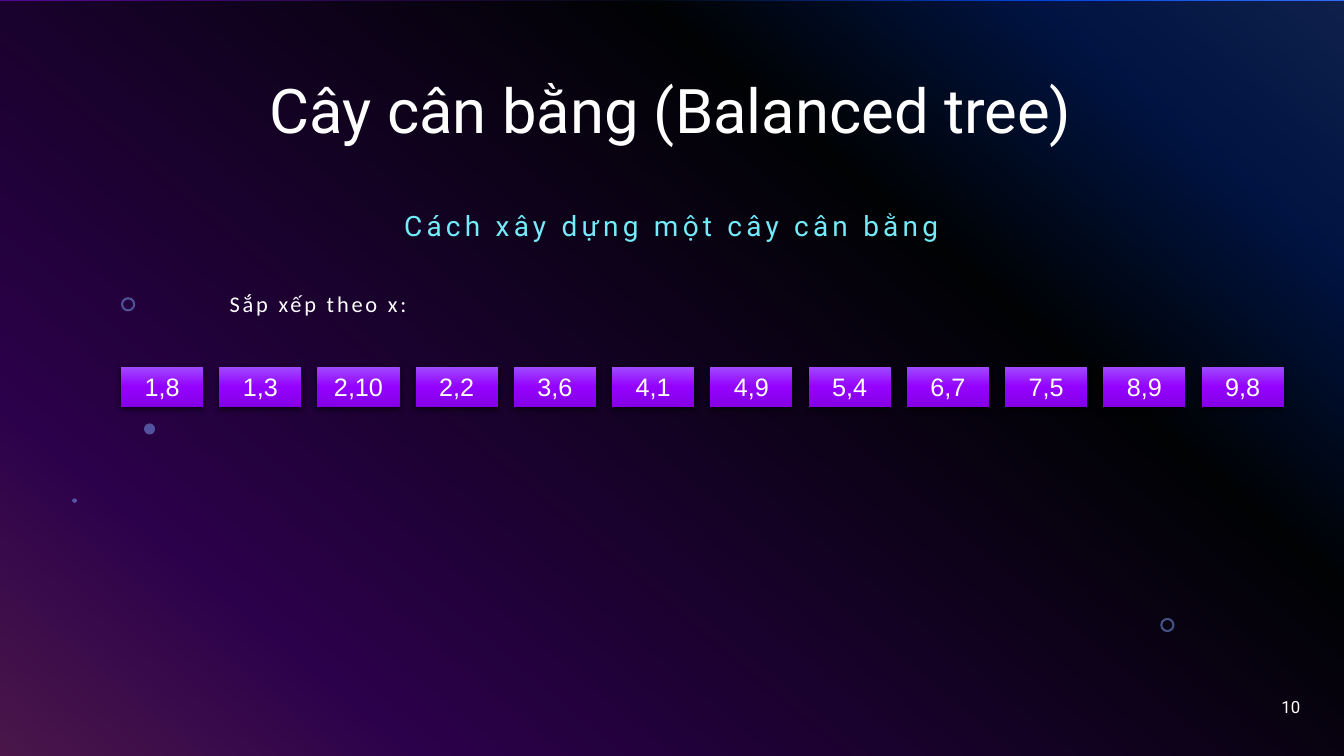
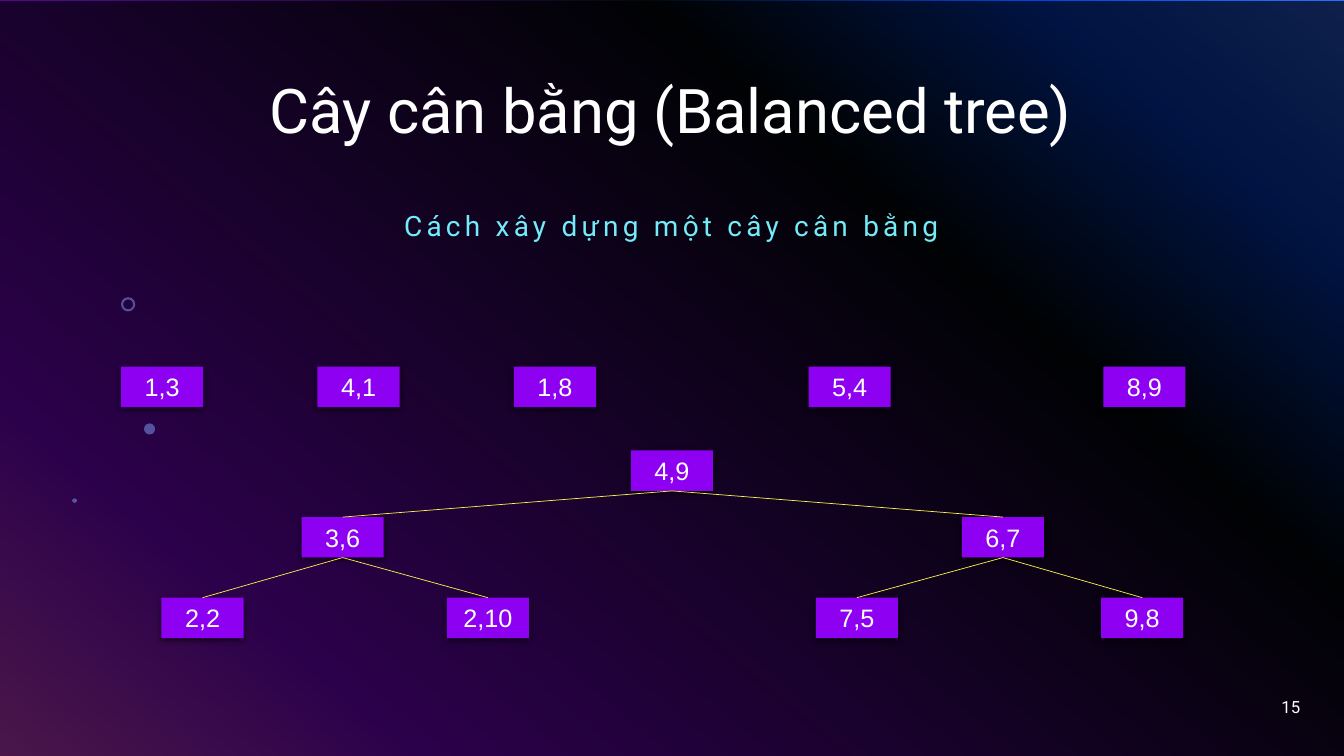
import lxml.etree
import pptx
import pptx.dml.color
import pptx.enum.shapes
import pptx.enum.text
import pptx.oxml.ns
import pptx.util

Cm = pptx.util.Cm
Pt = pptx.util.Pt
RGBColor = pptx.dml.color.RGBColor
Align = pptx.enum.text.PP_ALIGN
Shape = pptx.enum.shapes.MSO_SHAPE
qn = pptx.oxml.ns.qn

WHITE = RGBColor(0xFF, 0xFF, 0xFF)
BLACK = RGBColor(0x00, 0x00, 0x00)
CYAN = RGBColor(0x73, 0xEB, 0xF9)
YELLOW = RGBColor(0xFA, 0xF2, 0x4C)
PURPLE = RGBColor(0x8E, 0x00, 0xF2)
PALE_BLUE = RGBColor(0x83, 0xA7, 0xFD)

SKY = [
    (0, RGBColor(0x31, 0x6C, 0xFC)),
    (14, RGBColor(0x03, 0x43, 0xDF)),
    (31, RGBColor(0x02, 0x09, 0x0E)),
    (81, RGBColor(0x94, 0x05, 0xFC)),
    (100, RGBColor(0xFC, 0x4E, 0xFB)),
]
GLOSS = [
    (0, RGBColor(0xA0, 0x4B, 0xFF)),
    (50, RGBColor(0x94, 0x02, 0xFF)),
    (100, RGBColor(0x84, 0x00, 0xE4)),
]

TITLE = "Cây cân bằng (Balanced tree)"
SUBTITLE = "Cách xây dựng một cây cân bằng"

NODE_WIDTH, NODE_HEIGHT = 2.07, 1.02
ROW_TOP = 9.24
ROW_LEFT, ROW_RIGHT = 3.05, 30.28
SORTED_POINTS = ["1,8", "1,3", "2,10", "2,2", "3,6", "4,1",
                 "4,9", "5,4", "6,7", "7,5", "8,9", "9,8"]
COLUMN_STEP = (ROW_RIGHT - ROW_LEFT) / (len(SORTED_POINTS) - 1)
WAITING_POINTS = {0: "1,3", 2: "4,1", 4: "1,8", 7: "5,4", 10: "8,9"}

TREE_NODES = {
    "4,9": (15.9, 11.35),
    "3,6": (7.6, 13.03),
    "6,7": (24.24, 13.03),
    "2,2": (4.07, 15.06),
    "2,10": (11.26, 15.06),
    "7,5": (20.56, 15.06),
    "9,8": (27.75, 15.06),
}
TREE_CHILDREN = {"4,9": ("3,6", "6,7"), "3,6": ("2,2", "2,10"), "6,7": ("7,5", "9,8")}


def add_color(parent, color, alpha=None):
    node = lxml.etree.SubElement(parent, qn("a:srgbClr"), val=str(color))
    if alpha is not None:
        lxml.etree.SubElement(node, qn("a:alpha"), val=str(alpha * 1000))


def fill_gradient(fill, owner, stops, angle):
    fill.gradient()
    fill.gradient_angle = 360 - angle
    stop_list = owner.find(".//" + qn("a:gsLst"))
    for old_stop in list(stop_list):
        stop_list.remove(old_stop)
    for position, color in stops:
        stop = lxml.etree.SubElement(stop_list, qn("a:gs"), pos=str(position * 1000))
        add_color(stop, color)


def place(box, left, top, width, height):
    box.left, box.top, box.width, box.height = Cm(left), Cm(top), Cm(width), Cm(height)


def write(box, text, size, font="Roboto", color=WHITE, align=Align.LEFT,
          anchor=pptx.enum.text.MSO_ANCHOR.MIDDLE, line_spacing=1.0, tracking=0):
    frame = box.text_frame
    frame.word_wrap = True
    frame.auto_size = pptx.enum.text.MSO_AUTO_SIZE.NONE
    frame.vertical_anchor = anchor
    para = frame.paragraphs[0]
    properties = para._p.get_or_add_pPr()
    properties.set("marL", "0")
    properties.set("indent", "0")
    lxml.etree.SubElement(properties, qn("a:buNone"))
    para.alignment = align
    para.line_spacing = line_spacing
    para.space_before = Pt(0)
    span = para.add_run()
    span.text = text
    span.font.name = font
    span.font.size = Pt(size)
    span.font.bold = False
    span.font.color.rgb = color
    if tracking:
        span.font._element.set("spc", str(tracking * 100))


def add_text(page, left, top, width, height, text, **style):
    box = page.shapes.add_textbox(Cm(left), Cm(top), Cm(width), Cm(height))
    write(box, text, **style)


def add_tinted(page, kind, left, top, width, height, color, alpha):
    shape = page.shapes.add_shape(kind, Cm(left), Cm(top), Cm(width), Cm(height))
    shape.shadow.inherit = False
    shape.line.fill.background()
    shape.fill.solid()
    shape.fill.fore_color.rgb = color
    tint = shape.element.spPr.find(".//" + qn("a:srgbClr"))
    lxml.etree.SubElement(tint, qn("a:alpha"), val=str(alpha * 1000))
    return shape


def add_ring(page, left, top):
    ring = add_tinted(page, Shape.DONUT, left, top, 0.36, 0.36, PALE_BLUE, 49)
    ring.adjustments[0] = 0.15
    return ring


def dress_layout(layout, page):
    decorations = [
        add_tinted(page, Shape.RECTANGLE, 0, 0.03, 33.87, 19.02, BLACK, 70),
        add_ring(page, 3.05, 7.49),
        add_tinted(page, Shape.OVAL, 3.63, 10.67, 0.28, 0.28, PALE_BLUE, 49),
        add_tinted(page, Shape.OVAL, 1.82, 12.56, 0.12, 0.11, PALE_BLUE, 49),
    ]
    for order, shape in enumerate(decorations):
        shape.element.nvSpPr.cNvPr.set("id", str(100 + order))
        layout.shapes.element.insert(2 + order, shape.element)


def add_headings(page, number):
    title, subtitle = page.shapes.title, page.placeholders[1]
    place(title, 2.31, 1.02, 29.21, 3.68)
    write(title, TITLE, size=44, align=Align.CENTER, line_spacing=0.9)
    place(subtitle, 4.42, 5.03, 25, 1.42)
    write(subtitle, SUBTITLE, size=20, color=CYAN, align=Align.CENTER,
          line_spacing=0.9, tracking=3)
    add_text(page, 25.4, 17.3, 7.62, 1.02, number, size=12, align=Align.RIGHT)


def add_node(page, left, top, text, glossy=False):
    node = page.shapes.add_shape(Shape.RECTANGLE, Cm(left), Cm(top),
                                 Cm(NODE_WIDTH), Cm(NODE_HEIGHT))
    node.line.fill.background()
    if glossy:
        fill_gradient(node.fill, node.element, GLOSS, 90)
    else:
        node.fill.solid()
        node.fill.fore_color.rgb = PURPLE
    node.shadow.inherit = False
    effects = node.element.spPr.find(qn("a:effectLst"))
    shadow = lxml.etree.SubElement(effects, qn("a:outerShdw"), blurRad=str(Pt(4.5)),
                                   dist=str(Pt(1.5)), dir="5400000", rotWithShape="0")
    add_color(shadow, BLACK, 63)
    write(node, text, size=18, font="Arial", align=Align.CENTER)
    return node


def add_row(page, points, glossy=False):
    for column, text in points:
        add_node(page, ROW_LEFT + column * COLUMN_STEP, ROW_TOP, text, glossy)


def add_branch(page, parent, child):
    branch = page.shapes.add_connector(pptx.enum.shapes.MSO_CONNECTOR.STRAIGHT, 0, 0, 0, 0)
    branch.begin_connect(parent, 2)
    branch.end_connect(child, 0)
    branch.line.color.rgb = YELLOW
    branch.line.width = Pt(0.5)
    lxml.etree.SubElement(branch.element.spPr, qn("a:effectLst"))


def add_tree(page):
    nodes = {text: add_node(page, left, top, text)
             for text, (left, top) in TREE_NODES.items()}
    for parent, children in TREE_CHILDREN.items():
        for child in children:
            add_branch(page, nodes[parent], nodes[child])


def build_sorted_page(page):
    add_headings(page, "10")
    add_ring(page, 29.24, 15.57)
    add_row(page, enumerate(SORTED_POINTS), glossy=True)
    add_text(page, 5.54, 7.26, 25.04, 1.02, "Sắp xếp theo x:", size=16, font="Calibri",
             anchor=pptx.enum.text.MSO_ANCHOR.TOP, line_spacing=0.9, tracking=2)


def build_tree_page(page):
    add_headings(page, "15")
    add_row(page, WAITING_POINTS.items())
    add_tree(page)


def main():
    deck = pptx.Presentation()
    deck.slide_width, deck.slide_height = Cm(33.87), Cm(19.05)
    master = deck.slide_master
    fill_gradient(master.background.fill, master.element, SKY, 130)
    layout = deck.slide_layouts[1]
    sorted_page = deck.slides.add_slide(layout)
    tree_page = deck.slides.add_slide(layout)
    dress_layout(layout, sorted_page)
    build_sorted_page(sorted_page)
    build_tree_page(tree_page)
    deck.save("out.pptx")


if __name__ == "__main__":
    main()
